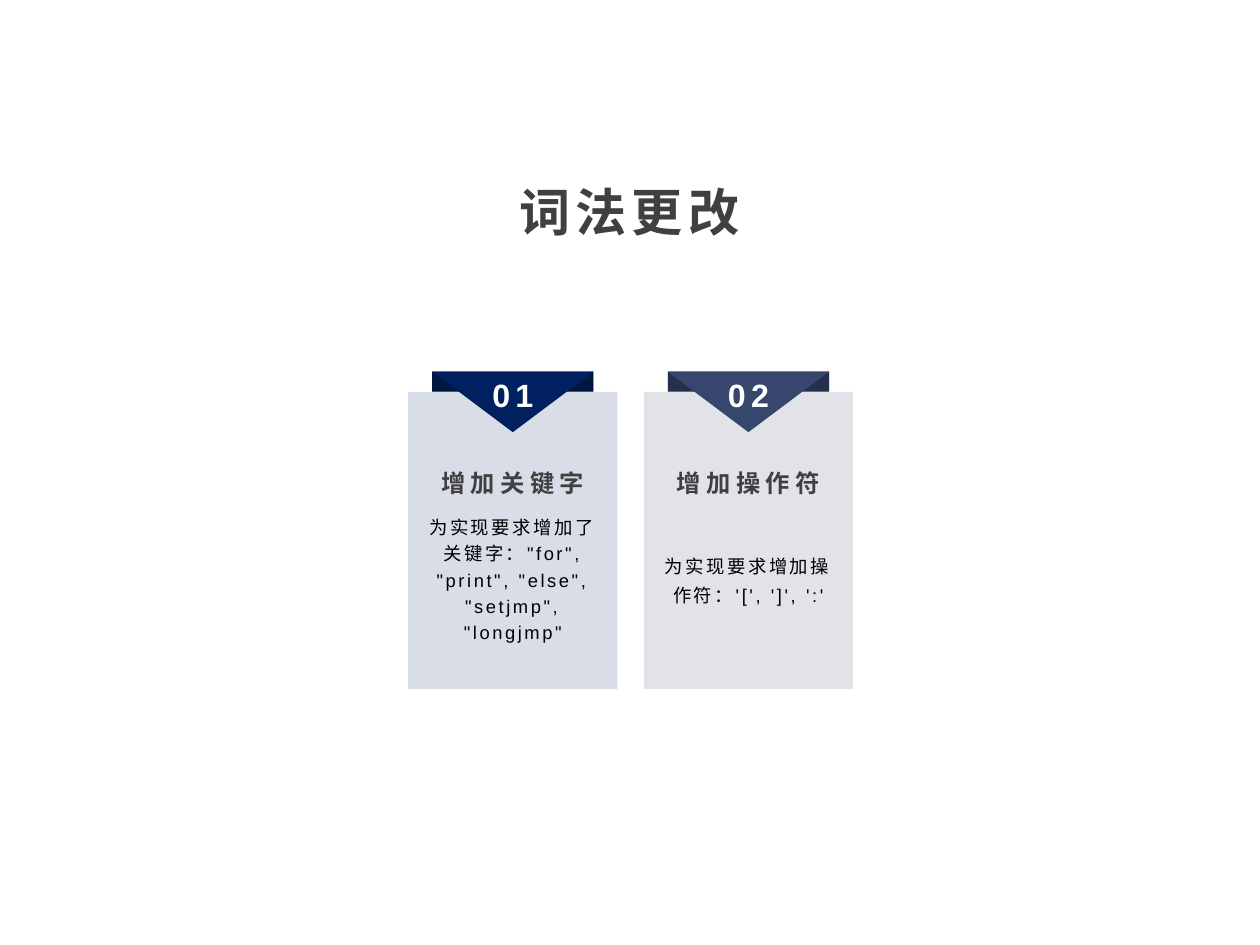
"""Build a slide with two ribbon cards describing lexical changes."""
from dataclasses import dataclass

import lxml.etree
import pptx
import pptx.dml.color
import pptx.enum.shapes
import pptx.enum.text
import pptx.oxml.ns
import pptx.util

TITLE = "词法更改"
CARDS = [
    {"number": "01", "heading": "增加关键字", "color": "002060", "line_spacing": 1.2,
     "body": '为实现要求增加了关键字："for", "print", "else", "setjmp", "longjmp"'},
    {"number": "02", "heading": "增加操作符", "color": "36466D", "line_spacing": 1.3,
     "body": "为实现要求增加操作符：'[', ']', ':'"},
]


@dataclass(frozen=True)
class Theme:
    font: str = "Arial"
    heading: str = "404040"
    body: str = "000000"
    number: str = "FFFFFF"
    shade: str = "000000"
    title_size: float = 29.2
    number_size: float = 18.4
    heading_size: float = 13.9
    body_size: float = 10.5
    wide_tracking: float = 3
    body_tracking: float = 1.5
    shade_alpha: int = 30
    card_alpha: int = 15


THEME = Theme()
CARD_LEFT, CARD_TOP, CARD_WIDTH, CARD_HEIGHT = 3.24, 3.11, 1.66, 2.36
CARD_PITCH = 1.87
RIBBON_TOP, RIBBON_WIDTH, RIBBON_HEIGHT, FLAP_HEIGHT = 2.95, 1.28, 0.16, 0.48
NUMBER_WIDTH = 0.57


def inches(*lengths):
    return [pptx.util.Inches(length) for length in lengths]


def paint(shape, color, alpha=100):
    shape.shadow.inherit = False
    shape.line.fill.background()
    shape.fill.solid()
    shape.fill.fore_color.rgb = pptx.dml.color.RGBColor.from_string(color)
    if alpha < 100:
        qualified = pptx.oxml.ns.qn
        color_node = shape._element.spPr.find(qualified("a:solidFill")).find(qualified("a:srgbClr"))
        lxml.etree.SubElement(color_node, qualified("a:alpha")).set("val", str(alpha * 1000))


def add_rectangle(slide, box, color, alpha=100):
    kind = pptx.enum.shapes.MSO_SHAPE.RECTANGLE
    paint(slide.shapes.add_shape(kind, *inches(*box)), color, alpha)


def add_flap(slide, left, color):
    right, middle = left + RIBBON_WIDTH, left + RIBBON_WIDTH / 2
    builder = slide.shapes.build_freeform(*inches(left, RIBBON_TOP))
    builder.add_line_segments([
        inches(right, RIBBON_TOP),
        inches(middle, RIBBON_TOP + FLAP_HEIGHT),
    ], close=True)
    paint(builder.convert_to_shape(), color)


def write(shape, text, size, color, bold=True, tracking=THEME.wide_tracking, line_spacing=1.3):
    frame = shape.text_frame
    frame.text = text
    frame.word_wrap = True
    frame.auto_size = pptx.enum.text.MSO_AUTO_SIZE.NONE
    frame.vertical_anchor = pptx.enum.text.MSO_ANCHOR.MIDDLE
    paragraph = frame.paragraphs[0]
    paragraph.alignment = pptx.enum.text.PP_ALIGN.CENTER
    paragraph.line_spacing = line_spacing
    run = paragraph.runs[0]
    run.font.name = THEME.font
    run.font.size = pptx.util.Pt(size)
    run.font.bold = bold
    run.font.color.rgb = pptx.dml.color.RGBColor.from_string(color)
    run._r.get_or_add_rPr().set("spc", str(round(tracking * 100)))


def add_text(slide, box, *content, **style):
    write(slide.shapes.add_textbox(*inches(*box)), *content, **style)


def add_card(slide, index, card):
    left = CARD_LEFT + index * CARD_PITCH
    center = left + CARD_WIDTH / 2
    ribbon_left = center - RIBBON_WIDTH / 2
    ribbon = (ribbon_left, RIBBON_TOP, RIBBON_WIDTH, RIBBON_HEIGHT)
    add_rectangle(slide, ribbon, card["color"])
    add_rectangle(slide, ribbon, THEME.shade, THEME.shade_alpha)
    add_flap(slide, ribbon_left, card["color"])
    add_rectangle(slide, (left, CARD_TOP, CARD_WIDTH, CARD_HEIGHT), card["color"], THEME.card_alpha)
    add_text(slide, (center - NUMBER_WIDTH / 2, 2.91, NUMBER_WIDTH, 0.45),
             card["number"], THEME.number_size, THEME.number, line_spacing=1)
    add_text(slide, (left, 4, CARD_WIDTH, 1.17), card["body"], THEME.body_size, THEME.body,
             bold=False, tracking=THEME.body_tracking, line_spacing=card["line_spacing"])
    add_text(slide, (left, 3.61, CARD_WIDTH, 0.38),
             card["heading"], THEME.heading_size, THEME.heading)


presentation = pptx.Presentation()
presentation.slide_width, presentation.slide_height = inches(10, 7.5)
slide = presentation.slides.add_slide(presentation.slide_layouts[5])
title = slide.shapes.title
title.left, title.top, title.width, title.height = inches(1.8, 1.26, 6.39, 0.68)
write(title, TITLE, THEME.title_size, THEME.heading)
for index, card in enumerate(CARDS):
    add_card(slide, index, card)
presentation.save("out.pptx")
